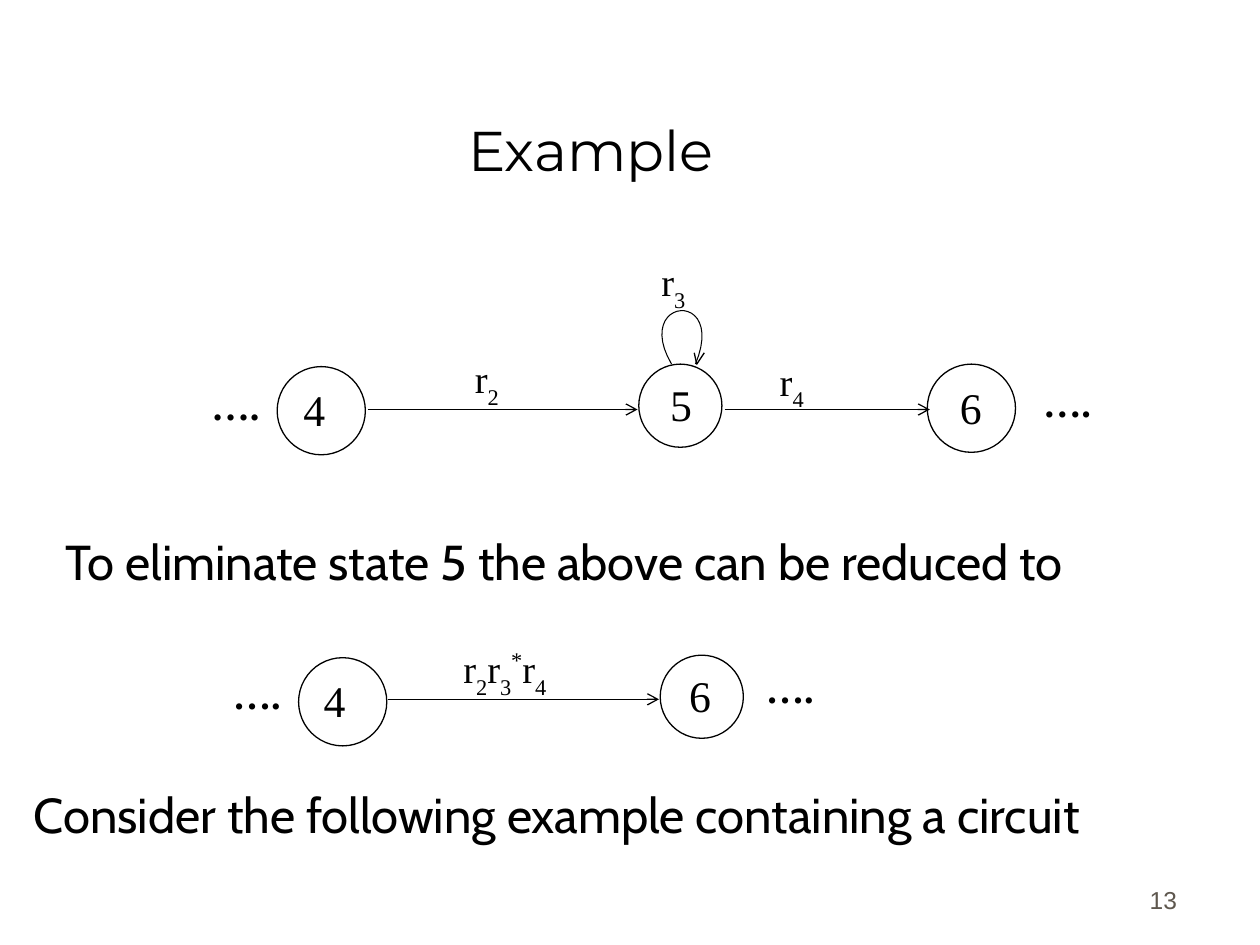
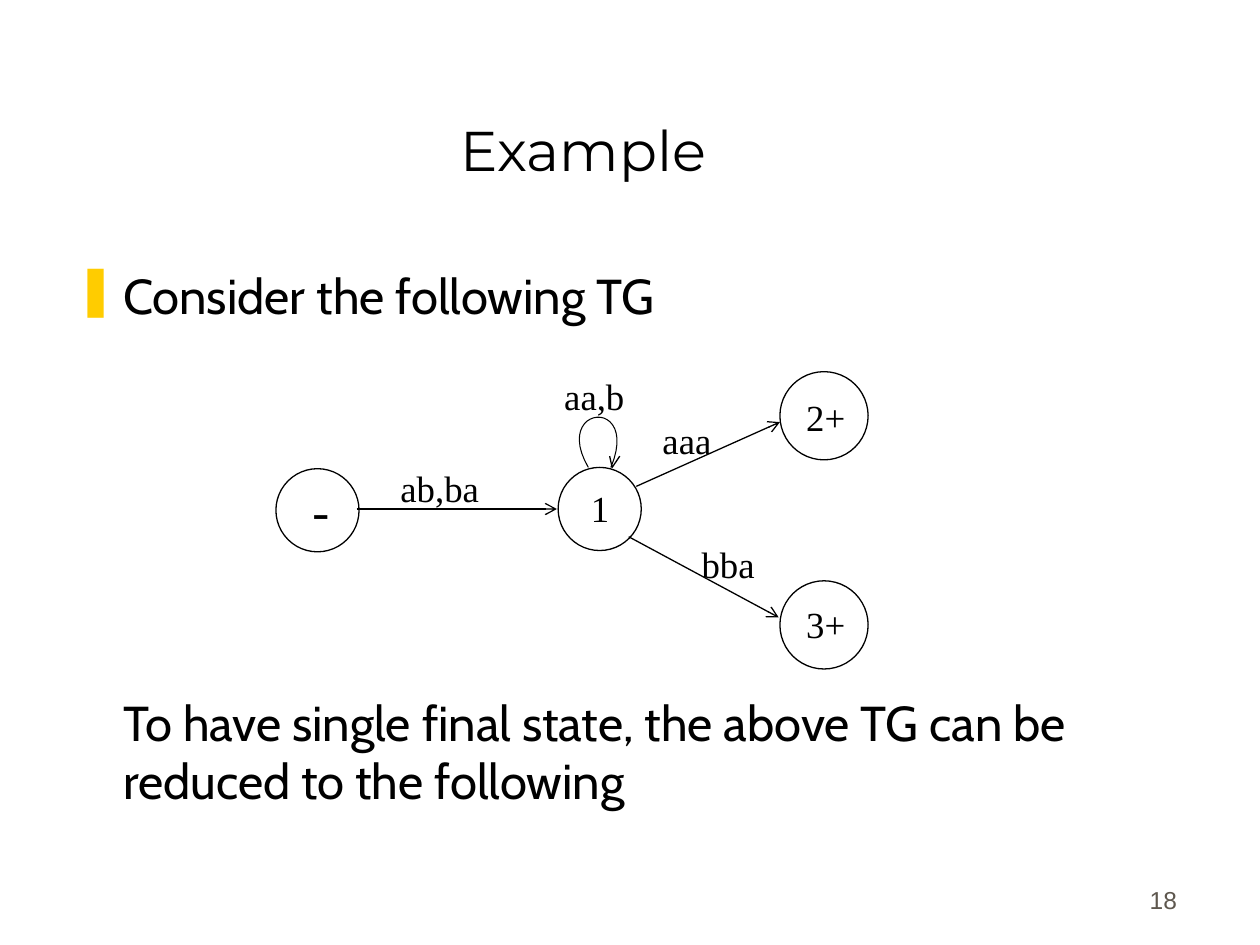
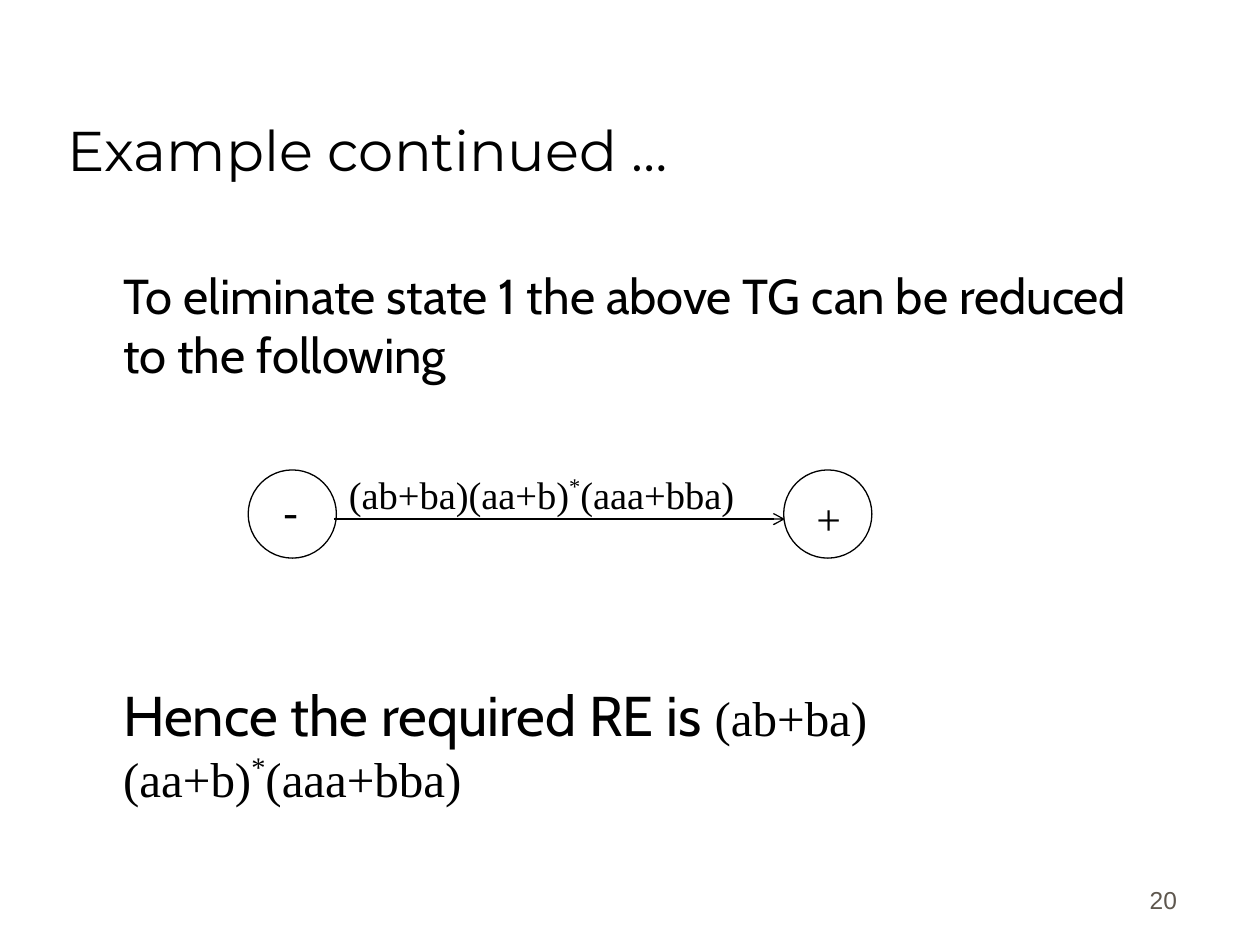
"""Build three slides on eliminating states from a transition graph."""
from lxml.etree import SubElement
from pptx import Presentation
from pptx.dml.color import RGBColor
from pptx.enum.shapes import MSO_CONNECTOR, MSO_SHAPE
from pptx.enum.text import MSO_ANCHOR as ANCHOR, PP_ALIGN as ALIGN
from pptx.oxml.ns import qn
from pptx.util import Inches, Pt

rgb = RGBColor.from_string
INK, PAPER, GOLD, STONE = "000000", "FFFFFF", "FFCC00", "5E574E"
SERIF, SANS, HEADING, FOOTER = "Times New Roman", "Cabin", "Montserrat", "Arial"
SUB, SUP = {"baseline": -30000}, {"baseline": 40000}

deck = Presentation()
deck.slide_width, deck.slide_height = Inches(10), Inches(7.5)
column = deck.slide_width / 10

TITLE = (0.44, 0.25, 8.5, 1.25)
BODY = (0.5, 2.06, 8.94, 4.56)
NUMBER = (7.36, 6.81, 2.08, 0.5)


def write(slide, paragraphs, at, size, font=SERIF, color=INK, bold=False,
          align=ALIGN.LEFT, anchor=ANCHOR.TOP, before=(0,), indent=0, bullet=None):
    """Write paragraphs, each a string or a list of (text, format) runs, in a box."""
    box = slide.shapes.add_textbox(*[int(v * column) for v in at])
    frame = box.text_frame
    frame.word_wrap, frame.vertical_anchor = True, anchor
    for index, (runs, gap) in enumerate(zip(paragraphs, before)):
        paragraph = frame.add_paragraph() if index else frame.paragraphs[0]
        paragraph.alignment, paragraph.space_before = align, Pt(gap)
        props = paragraph._p.get_or_add_pPr()
        props.set("marL", str(int(indent * column)))
        if bullet and index == 0:
            props.set("indent", str(int(-indent * column)))
            tint = SubElement(props, qn("a:buClr"))
            SubElement(tint, qn("a:srgbClr")).set("val", GOLD)
            SubElement(props, qn("a:buChar")).set("char", bullet)
        for text, extra in [(runs, {})] if isinstance(runs, str) else runs:
            run = paragraph.add_run()
            run.text = text
            run.font.size = Pt(extra.get("size", size))
            run.font.name = extra.get("font", font)
            run.font.bold = bold
            run.font.color.rgb = rgb(color)
            if "baseline" in extra:
                run.font._element.set("baseline", str(extra["baseline"]))


def trace(slide, points, width):
    """Draw an open outline through the points."""
    (x, y), *rest = [(int(a * column), int(b * column)) for a, b in points]
    builder = slide.shapes.build_freeform(x, y)
    builder.add_line_segments(rest, close=False)
    outline = builder.convert_to_shape()
    outline.shadow.inherit = False
    outline.fill.background()
    outline.line.color.rgb, outline.line.width = rgb(INK), Pt(width)


expression = [("(ab+ba)(aa+b)", {}), ("*", SUP), ("(aaa+bba)", {})]
conclusion = [("Hence the required RE is ", {"size": 32, "font": SANS})] + expression

# states: name, left, top, diameter, name offset, name size
pages = [
    dict(
        title="Example", align=ALIGN.CENTER, number="13", label_size=22,
        states=[("4", 2.2, 2.91, 0.7, 0.11, 0.08, 25), ("5", 5.07, 2.89, 0.66, 0.15, 0.06, 25),
                ("6", 7.36, 2.89, 0.7, 0.16, 0.08, 25), ("4", 2.37, 5.22, 0.7, 0.1, 0.08, 25),
                ("6", 5.24, 5.2, 0.66, 0.13, 0.06, 25)],
        edges=[(2.92, 3.25, 5.06, 3.25), (5.75, 3.25, 7.38, 3.25), (3.08, 5.55, 5.23, 5.55)],
        loops=[(5.33, 2.89, 1)],
        labels=[([("r", {}), ("2", SUB)], 3.67, 2.77), ([("r", {}), ("3", SUB)], 5.15, 2),
                ([("r", {}), ("4", SUB)], 6.09, 2.79),
                ([("r", {}), ("2", SUB), ("r", {}), ("3", SUB), ("*", SUP),
                  ("r", {}), ("4", SUB)], 3.58, 5.07)],
        dots=[(1.58, 2.98), (8.18, 2.96), (1.75, 5.28), (5.98, 5.23)],
        captions=[("To eliminate state 5 the above can be reduced to", 0.42, 4.17),
                  ("Consider the following example containing a circuit", 0.17, 6.18)],
    ),
    dict(
        title="Example ", align=ALIGN.CENTER, number="18", label_size=21,
        body=["Consider the following TG",
              "To have single final state, the above TG can be reduced to the following"],
        before=(7, 210), bullet="❚",
        states=[("-", 2.19, 3.72, 0.66, 0.19, 0.03, 29), ("1", 4.43, 3.71, 0.66, 0.16, 0.1, 21),
                ("2+", 6.19, 2.95, 0.7, 0.11, 0.13, 21), ("3+", 6.19, 4.61, 0.7, 0.11, 0.12, 21)],
        edges=[(2.83, 4.04, 4.42, 4.04), (5.05, 3.86, 6.19, 3.35), (4.99, 4.26, 6.18, 4.9)],
        loops=[(4.67, 3.71, 0.94)],
        labels=[("ab,ba", 3.08, 3.65), ("aa,b", 4.38, 2.92),
                ("aaa", 5.16, 3.27), ("bba", 5.47, 4.25)],
    ),
    dict(
        title="Example continued …", align=ALIGN.LEFT, number="20", label_size=22,
        body=["To eliminate state 1 the above TG can be reduced to the following",
              [(text, {"font": SERIF} | extra) for text, extra in conclusion]],
        before=(7, 170),
        states=[("-", 1.97, 3.73, 0.7, 0.18, 0.06, 25), ("+", 6.22, 3.73, 0.7, 0.16, 0.12, 25)],
        edges=[(2.65, 4.12, 6.23, 4.12)],
        labels=[(expression, 2.67, 3.69)],
    ),
]

for page in pages:
    slide = deck.slides.add_slide(deck.slide_layouts[6])
    slide.background.fill.solid()
    slide.background.fill.fore_color.rgb = rgb(PAPER)
    write(slide, [page["title"]], TITLE, 32, HEADING, align=page["align"], anchor=ANCHOR.BOTTOM)
    if "body" in page:
        write(slide, page["body"], BODY, 28, SANS, before=page["before"],
              indent=0.38, bullet=page.get("bullet"))

    for name, left, top, diameter, dx, dy, size in page["states"]:
        state = slide.shapes.add_shape(
            MSO_SHAPE.OVAL, *[int(v * column) for v in (left, top, diameter, diameter)])
        state.shadow.inherit = False
        state.fill.solid()
        state.fill.fore_color.rgb = rgb(PAPER)
        state.line.color.rgb, state.line.width = rgb(INK), Pt(0.75)
        write(slide, [name], (left + dx, top + dy, 1.02, 0.42), size)

    for ends in page["edges"]:
        edge = slide.shapes.add_connector(
            MSO_CONNECTOR.STRAIGHT, *[int(v * column) for v in ends])
        edge.line.color.rgb, edge.line.width = rgb(INK), Pt(0.75)
        SubElement(edge.line._get_or_add_ln(), qn("a:tailEnd")).set("type", "arrow")
        SubElement(edge._element.spPr, qn("a:effectLst"))

    for x, y, scale in page.get("loops", []):
        curve = []
        for step in range(25):
            t = step / 24
            first, second, last = 3 * t * (1 - t) ** 2, 3 * t ** 2 * (1 - t), t ** 3
            curve.append((x + scale * (-0.31 * first + 0.44 * second + 0.19 * last),
                          y - scale * (0.53 * first + 0.6 * second)))
        trace(slide, curve, 0.6)
        tip = x + scale * 0.19
        trace(slide, [(tip - 0.01, y - 0.09), (tip + 0.01, y), (tip + 0.07, y - 0.09)], 0.75)

    for label, left, top in page["labels"]:
        width = 3.42 if label is expression else 1.5
        write(slide, [label], (left, top, width, 0.42), page["label_size"])
    for left, top in page.get("dots", []):
        write(slide, ["…."], (left, top, 0.76, 0.42), 22, bold=True)
    for caption, left, top in page.get("captions", []):
        write(slide, [caption], (left, top, 9.5, 0.57), 28, SANS)
    write(slide, [page["number"]], NUMBER, 14, FOOTER, STONE,
          align=ALIGN.RIGHT, anchor=ANCHOR.BOTTOM, before=(8.8,))

deck.save("out.pptx")
